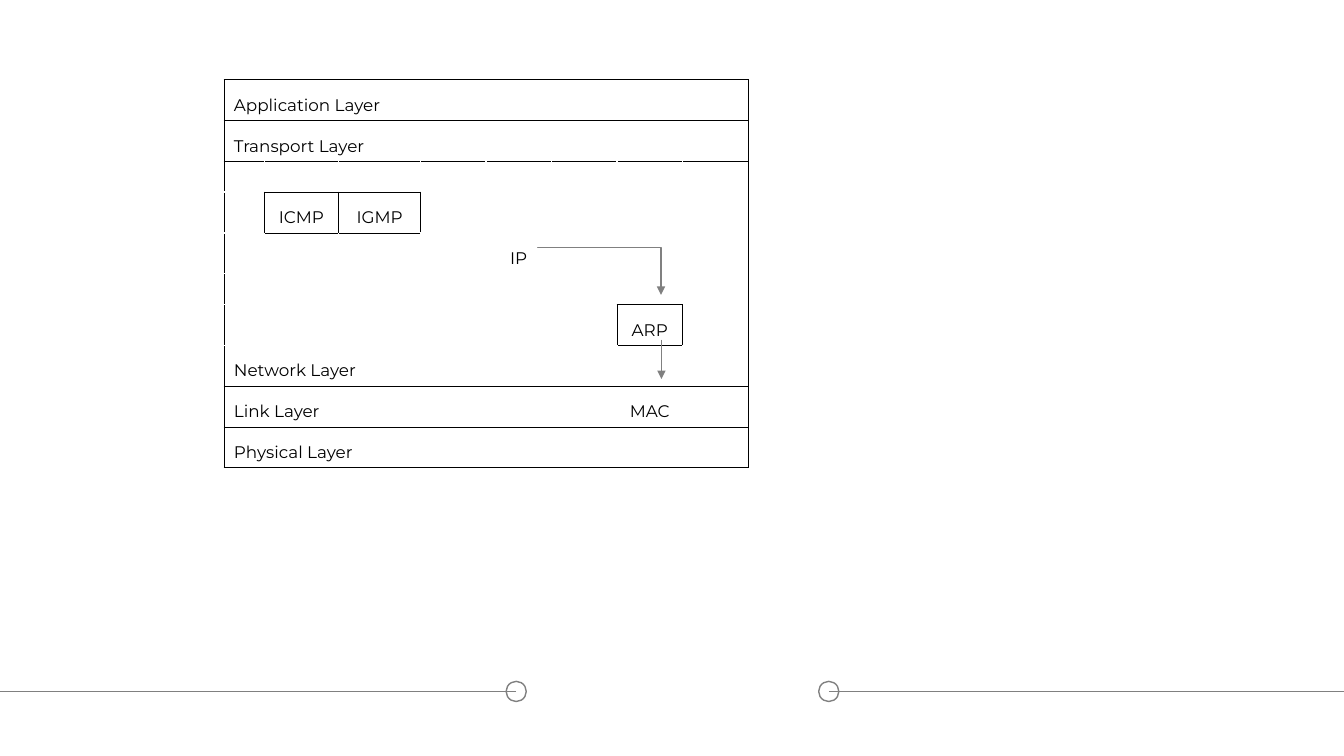
from lxml import etree
from pptx import Presentation
from pptx.dml.color import RGBColor
from pptx.enum.shapes import MSO_CONNECTOR, MSO_SHAPE
from pptx.enum.text import MSO_ANCHOR, PP_ALIGN
from pptx.oxml.ns import qn
from pptx.util import Inches, Pt

BLACK = RGBColor(0, 0, 0)
WHITE = RGBColor(255, 255, 255)
GREY = RGBColor(128, 128, 128)
LINE, ELBOW = MSO_CONNECTOR.STRAIGHT, MSO_CONNECTOR.ELBOW
OVAL = MSO_SHAPE.OVAL
MIDDLE = MSO_ANCHOR.MIDDLE
JUSTIFY, CENTER = PP_ALIGN.JUSTIFY, PP_ALIGN.CENTER

COLS = [0.4, 0.74, 0.81] + [0.65] * 5
ROWS = [0.25] * 10

# Cell text by row and column: words, alignment, columns spanned
CELLS = {
    (0, 0): ("Application Layer", JUSTIFY, 8),
    (1, 0): ("Transport Layer", JUSTIFY, 8),
    (3, 1): ("ICMP", CENTER, 1),
    (3, 2): ("IGMP", CENTER, 1),
    (4, 4): ("IP", CENTER, 1),
    (6, 6): ("ARP", CENTER, 1),
    (7, 0): ("Network Layer", JUSTIFY, 3),
    (8, 0): ("Link Layer", JUSTIFY, 3),
    (8, 6): ("MAC", CENTER, 1),
    (9, 0): ("Physical Layer", JUSTIFY, 3),
}
# Framed areas: first row, first column, end row, end column, rule width
FRAMES = [
    (0, 0, 1, 8, 0.75),
    (1, 0, 2, 8, 0.75),
    (2, 0, 8, 8, 0.75),
    (8, 0, 9, 8, 0.75),
    (9, 0, 10, 8, 0.75),
    (3, 1, 4, 2, 0.5),
    (3, 2, 4, 3, 0.5),
    (6, 6, 7, 7, 0.5),
]


def find_edges():
    """Map each framed grid edge to the width of its rule."""
    edges = {}
    for top, left, end, right, wide in FRAMES:
        for col in range(left, right):
            edges["h", top, col] = edges["h", end, col] = wide
        for row in range(top, end):
            edges["v", row, left] = edges["v", row, right] = 0.5
    return edges


class Page:
    font = {"name": "Montserrat", "size": Pt(12)}

    def __init__(self, deck):
        self.slide = deck.slides.add_slide(deck.slide_layouts[6])
        self.shapes = self.slide.shapes

    def ring(self, left, top, size):
        ring = self.shapes.add_shape(
            OVAL, Inches(left), Inches(top), Inches(size), Inches(size))
        ring.shadow.inherit = False
        ring.fill.background()
        ring.line.color.rgb = GREY
        ring.line.width = Pt(1)

    def link(self, start, end, kind=LINE, wide=1, arrow=True):
        link = self.shapes.add_connector(kind, *map(Inches, start + end))
        link.line.color.rgb = GREY
        link.line.width = Pt(wide)
        props = link._element.spPr
        if arrow:
            etree.SubElement(props.find(qn("a:ln")), qn("a:tailEnd"), type="triangle")
        etree.SubElement(props, qn("a:effectLst"))
        return link

    def bend(self, start, end, adjust):
        """Elbow turned by 270 degrees, so that it runs right and then down."""
        props = self.link(start, end, ELBOW)._element.spPr
        props.find(qn("a:xfrm")).set("rot", "16200000")
        geom = props.find(qn("a:prstGeom"))
        guides = geom.find(qn("a:avLst"))
        if guides is None:
            guides = etree.SubElement(geom, qn("a:avLst"))
        etree.SubElement(guides, qn("a:gd"), name="adj1", fmla=f"val {adjust}")

    def label(self, cell, text, align):
        cell.vertical_anchor = MIDDLE
        para = cell.text_frame.paragraphs[0]
        para.alignment = align
        para.line_spacing = 1.5
        run = para.add_run()
        run.text = text
        for name, value in self.font.items():
            setattr(run.font, name, value)
        run.font.color.rgb = BLACK

    def blank(self, cell):
        """Keep an empty cell as low as one line of table text."""
        para = cell.text_frame.paragraphs[0]._p
        last = etree.SubElement(para, qn("a:endParaRPr"), sz="1200")
        etree.SubElement(last, qn("a:latin"), typeface=self.font["name"])

    def rule(self, cell, sides):
        props = cell._tc.get_or_add_tcPr()
        for index, (side, wide) in enumerate(sides.items()):
            line = etree.Element(qn(f"a:ln{side}"), w=str(Pt(wide or 1)))
            fill = etree.SubElement(line, qn("a:solidFill"))
            color = BLACK if wide else WHITE
            etree.SubElement(fill, qn("a:srgbClr"), val=str(color))
            props.insert(index, line)

    def table(self, left, top, width, height):
        frame = self.shapes.add_table(
            len(ROWS), len(COLS), *map(Inches, (left, top, width, height)))
        table = frame.table
        table.first_row = table.horz_banding = False
        for col, size in zip(table.columns, COLS):
            col.width = Inches(size)
        for row, size in zip(table.rows, ROWS):
            row.height = Inches(size)
        frame.height = Inches(height)
        for (row, col), (text, align, span) in CELLS.items():
            cell = table.cell(row, col)
            if span > 1:
                cell.merge(table.cell(row, col + span - 1))
            self.label(cell, text, align)

        edges = find_edges()
        for row in range(len(ROWS)):
            for col in range(len(COLS)):
                cell = table.cell(row, col)
                cell.fill.background()
                if (row, col) not in CELLS:
                    self.blank(cell)
                if cell.is_spanned:
                    continue
                span = cell.span_width if cell.is_merge_origin else 1
                self.rule(cell, {
                    "L": edges.get(("v", row, col)),
                    "R": edges.get(("v", row, col + span)),
                    "T": edges.get(("h", row, col)),
                    "B": edges.get(("h", row + 1, col)),
                })


def main():
    deck = Presentation()
    deck.slide_width, deck.slide_height = Inches(13.33), Inches(7.5)
    page = Page(deck)

    # Footer rings, each with a line to the slide edge
    for mid, edge in ((8.22, 13.33), (5.12, 0)):
        page.ring(mid - 0.1, 6.76, 0.2)
        page.link((mid, 6.86), (edge, 6.86), wide=0.5, arrow=False)

    # Layer table
    page.table(2.22, 0.79, 5.24, 3.66)

    # Arrows from IP to ARP and from ARP to MAC
    page.link((6.56, 3.37), (6.56, 3.76))
    page.bend((6.18, 2.08), (5.71, 3.3), 300)

    deck.save("out.pptx")


if __name__ == "__main__":
    main()
